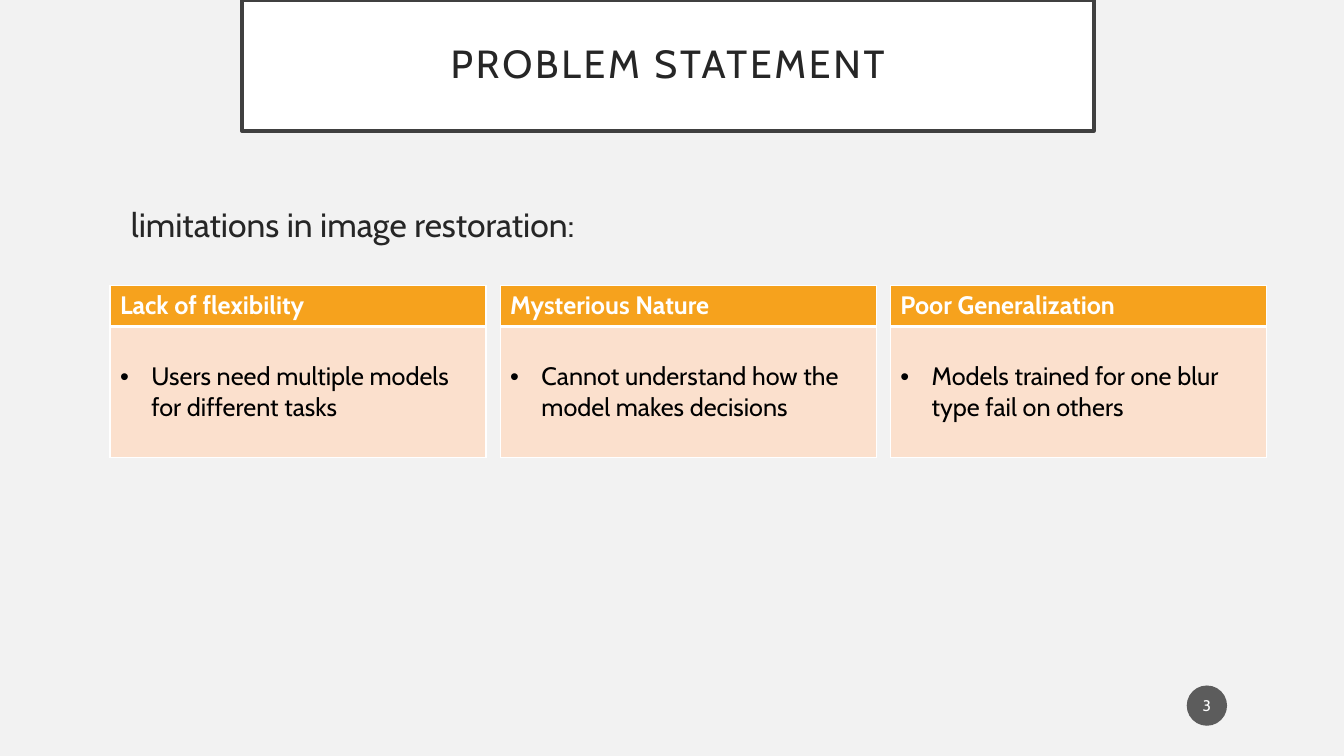
from lxml.etree import SubElement
from pptx import Presentation
from pptx.dml.color import RGBColor
from pptx.enum.shapes import MSO_SHAPE
from pptx.enum.text import MSO_ANCHOR, PP_ALIGN
from pptx.oxml import parse_xml
from pptx.oxml.ns import nsdecls, qn
from pptx.util import Inches, Pt

WIDE, HIGH = Inches(13.33), Inches(7.5)
INK, WHITE, AMBER, PEACH = "262626", "FFFFFF", "F6A21D", "FBE0CD"
CARDS = [
    ("Lack of flexibility", "Users need multiple models for different tasks"),
    ("Mysterious Nature", "Cannot understand how the model makes decisions"),
    ("Poor Generalization", "Models trained for one blur type fail on others"),
]


def paint(item, color):
    item.solid()
    item.fore_color.rgb = RGBColor.from_string(color)


def area(x, y, w, h):
    return [int(WIDE * x / 100), int(HIGH * y / 100),
            int(WIDE * w / 100), int(HIGH * h / 100)]


def write(para, text, size, color, bold=False):
    run = para.add_run()
    run.text = text
    run.font.name = "Cabin"
    run.font.size = Pt(size)
    run.font.bold = bold
    paint(run.font.fill, color)
    return run


def inset(frame, side, edge):
    frame.margin_left = frame.margin_right = Inches(side)
    frame.margin_top = frame.margin_bottom = Inches(edge)
    frame.vertical_anchor = MSO_ANCHOR.MIDDLE
    frame.word_wrap = True


def title(slide, box):
    panel = slide.shapes.add_shape(MSO_SHAPE.RECTANGLE, *box)
    panel.shadow.inherit = False
    paint(panel.fill, WHITE)
    paint(panel.line.fill, "404040")
    panel.line.width = Pt(2.5)
    inset(panel.text_frame, 0.2, 0.2)
    para = panel.text_frame.paragraphs[0]
    para.alignment = PP_ALIGN.CENTER
    para.line_spacing = 0.9
    run = write(para, "PROBLEM STATEMENT", 28, INK)
    run.font._element.set("spc", "200")


def lead(slide, box):
    frame = slide.shapes.add_textbox(*box).text_frame
    frame.word_wrap = True
    para = frame.paragraphs[0]
    para.line_spacing = 0.9
    write(para, "limitations in image restoration:", 24, INK)


def border(cell, top, bottom):
    props = cell._tc.get_or_add_tcPr()
    sides = [("lnL", 1), ("lnR", 1), ("lnT", top), ("lnB", bottom)]
    for spot, (tag, width) in enumerate(sides):
        props.insert(spot, parse_xml(
            f'<a:{tag} {nsdecls("a")} w="{Pt(width)}"><a:solidFill>'
            f'<a:srgbClr val="{WHITE}"/></a:solidFill></a:{tag}>'))


def bullet(para):
    props = para._p.get_or_add_pPr()
    props.set("marL", str(Inches(0.31)))
    props.set("indent", str(-Inches(0.31)))
    SubElement(props, qn("a:buFont"), typeface="Arial")
    SubElement(props, qn("a:buChar"), char="•")


def card(slide, box, head, body):
    table = slide.shapes.add_table(2, 1, *box).table
    table.horz_banding = False
    table.rows[0].height = int(box[3] * 0.24)
    table.rows[1].height = box[3] - table.rows[0].height
    top, base = table.cell(0, 0), table.cell(1, 0)
    for cell, fill, edges in ((top, AMBER, (1, 3)), (base, PEACH, (3, 1))):
        paint(cell.fill, fill)
        border(cell, *edges)
    write(top.text_frame.paragraphs[0], head, 18, WHITE, True)
    base.vertical_anchor = MSO_ANCHOR.MIDDLE
    para = base.text_frame.paragraphs[0]
    bullet(para)
    write(para, body, 18, "000000")


def cards(slide, box, step):
    x, y, w, h = box
    for spot, (head, body) in enumerate(CARDS):
        card(slide, area(x + spot * step, y, w, h), head, body)


def badge(slide, box):
    disc = slide.shapes.add_shape(MSO_SHAPE.OVAL, *box)
    disc.shadow.inherit = False
    paint(disc.fill, "1D1D1D")
    shade = disc._element.spPr.find(qn("a:solidFill"))[0]
    SubElement(shade, qn("a:alpha"), val="70000")
    disc.line.fill.background()
    inset(disc.text_frame, 0.02, 0.05)
    para = disc.text_frame.paragraphs[0]
    para.alignment = PP_ALIGN.CENTER
    write(para, "3", 11, WHITE)


def main():
    deck = Presentation()
    deck.slide_width, deck.slide_height = WIDE, HIGH
    slide = deck.slides.add_slide(deck.slide_layouts[6])
    paint(slide.background.fill, "F2F2F2")
    title(slide, area(18, 0, 63.4, 17.33))
    badge(slide, area(88.3, 90.67, 3, 5.33))
    lead(slide, area(9, 26.93, 82.5, 6.27))
    cards(slide, (8.18, 37.73, 27.98, 22.8), 29.03)
    deck.save("out.pptx")


if __name__ == "__main__":
    main()
